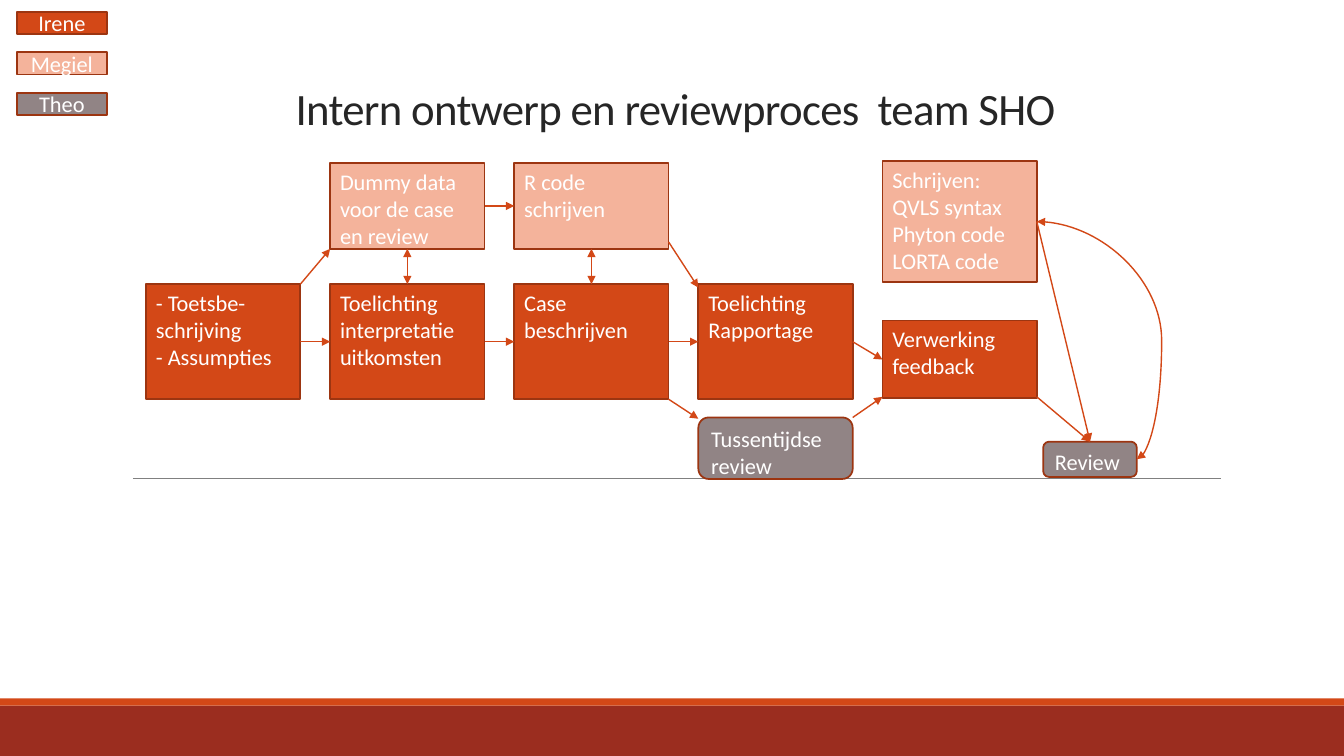
from lxml import etree
from pptx import Presentation, util as u
from pptx.dml.color import RGBColor
from pptx.enum import shapes, text
from pptx.oxml.ns import qn

THEME = {
    "font": "Calibri", "body_size": 16, "title_size": 32,
    "irene": "D34817", "megiel": "F4B39B", "theo": "918485",
    "border": "9C3511", "arrow": "D34817", "footer": "9B2D1F",
    "rule": "808080", "title": "262626", "body": "FFFFFF",
}
TITLE = "Intern ontwerp en reviewproces  team SHO"
LEGEND = [("Irene", "irene"), ("Megiel", "megiel"), ("Theo", "theo")]

COLUMN_LEFT, COLUMN_STEP, BOX_WIDTH = 3.68, 4.64, 3.89
TOP_ROW, MAIN_ROW = (4.11, 2.16), (7.16, 2.9)
STEPS = {
    "dummy": ("Dummy data voor de case en review", "megiel", 1, TOP_ROW),
    "interpretation": ("Toelichting interpretatie uitkomsten", "irene", 1, MAIN_ROW),
    "r_code": ("R code schrijven", "megiel", 2, TOP_ROW),
    "case": ("Case beschrijven", "irene", 2, MAIN_ROW),
    "report": ("Toelichting Rapportage", "irene", 3, MAIN_ROW),
    "interim": ("Tussentijdse\nreview", "theo", 3, (10.52, 1.55)),
    "code": ("Schrijven:\nQVLS syntax\nPhyton code\nLORTA code", "megiel", 4, (4.06, 3.05)),
    "feedback": ("Verwerking feedback", "irene", 4, (8.08, 1.96)),
    "tests": ("- Toetsbe-\nschrijving\n- Assumpties", "irene", 0, MAIN_ROW),
}
REVIEW = ("Review", "theo", (26.29, 11.13, 2.36, 0.89))

TOP, LEFT, BOTTOM, RIGHT = (0.5, 0), (0, 0.5), (0.5, 1), (1, 0.5)
SIDES = [TOP, LEFT, BOTTOM, RIGHT]
ARROWS = [
    ("dummy", BOTTOM, "interpretation", TOP, True),
    ("r_code", BOTTOM, "case", TOP, True),
    ("dummy", RIGHT, "r_code", LEFT, False),
    ("tests", RIGHT, "interpretation", LEFT, False),
    ("interpretation", RIGHT, "case", LEFT, False),
    ("case", RIGHT, "report", LEFT, False),
    ("report", RIGHT, "feedback", LEFT, False),
    ("tests", (1, 0), "dummy", (0, 1), False),
    ("r_code", (1, 0.92), "report", (0, 0.03), False),
    ("case", (1, 1), "interim", (0, 0.02), False),
    ("interim", (1, 0), "feedback", (0, 0.98), False),
    ("feedback", (1, 0.98), "review", TOP, False),
    ("code", RIGHT, "review", TOP, False),
]


def color(name):
    return RGBColor.from_string(THEME[name])


def write(frame, content, size, ink, alignment, anchor):
    frame.word_wrap = True
    frame.vertical_anchor = anchor
    for index, line in enumerate(content.split("\n")):
        paragraph = frame.paragraphs[0] if index == 0 else frame.add_paragraph()
        paragraph.alignment = alignment
        run = paragraph.add_run()
        run.text = line
        run.font.name = THEME["font"]
        run.font.size = u.Pt(THEME[size])
        run.font.color.rgb = color(ink)


def add_block(slide, bounds, fill, border=None, rounded=False):
    kind = shapes.MSO_SHAPE.ROUNDED_RECTANGLE if rounded else shapes.MSO_SHAPE.RECTANGLE
    shape = slide.shapes.add_shape(kind, *map(u.Cm, bounds))
    shape.shadow.inherit = False
    shape.fill.solid()
    shape.fill.fore_color.rgb = color(fill)
    if border:
        shape.line.color.rgb = color(border)
        shape.line.width = u.Pt(1.25)
    else:
        shape.line.fill.background()
    return shape


def add_step(slide, content, owner, bounds):
    shape = add_block(slide, bounds, owner, "border", owner == "theo")
    write(shape.text_frame, content, "body_size", "body",
          text.PP_ALIGN.LEFT, text.MSO_ANCHOR.TOP)
    return shape


def add_line(slide, start, end, ink, width, heads=(), kind=shapes.MSO_CONNECTOR.STRAIGHT):
    connector = slide.shapes.add_connector(kind, *start, *end)
    connector.line.color.rgb = color(ink)
    connector.line.width = u.Pt(width)
    outline = connector._element.spPr.find(qn("a:ln"))
    for head in heads:
        etree.SubElement(outline, qn(head), type="triangle")
    etree.SubElement(connector._element.spPr, qn("a:effectLst"))
    return connector


def add_arrow(slide, source, start_at, target, end_at, double,
              kind=shapes.MSO_CONNECTOR.STRAIGHT):
    start, end = [
        (int(box.left + box.width * across), int(box.top + box.height * down))
        for box, (across, down) in ((source, start_at), (target, end_at))
    ]
    heads = ("a:headEnd", "a:tailEnd") if double else ("a:tailEnd",)
    connector = add_line(slide, start, end, "arrow", 1, heads, kind)
    if start_at in SIDES:
        connector.begin_connect(source, SIDES.index(start_at))
    if end_at in SIDES:
        connector.end_connect(target, SIDES.index(end_at))
    return connector


def main():
    presentation = Presentation()
    presentation.slide_width, presentation.slide_height = u.Cm(33.87), u.Cm(19.05)
    slide = presentation.slides.add_slide(presentation.slide_layouts[6])

    add_block(slide, (0, 17.78, 33.87, 1.27), "footer")
    add_block(slide, (0, 17.6, 33.87, 0.18), "irene")
    add_line(slide, (u.Cm(3.35), u.Cm(12.06)), (u.Cm(30.78), u.Cm(12.06)), "rule", 0.5)

    title = slide.shapes.add_textbox(*map(u.Cm, (3.05, 2.11, 27.94, 0.99)))
    write(title.text_frame, TITLE, "title_size", "title",
          text.PP_ALIGN.CENTER, text.MSO_ANCHOR.TOP)
    heading = title.text_frame.paragraphs[0]
    heading.line_spacing = 0.85
    heading.runs[0].font._element.set("spc", "-50")

    for row, (person, owner) in enumerate(LEGEND):
        label = add_block(slide, (0.43, 0.3 + 1.02 * row, 2.26, 0.56), owner, "border")
        write(label.text_frame, person, "body_size", "body",
              text.PP_ALIGN.CENTER, text.MSO_ANCHOR.MIDDLE)

    boxes = {}
    for name, (content, owner, column, (top, height)) in STEPS.items():
        bounds = (COLUMN_LEFT + COLUMN_STEP * column, top, BOX_WIDTH, height)
        boxes[name] = add_step(slide, content, owner, bounds)
    boxes["review"] = add_step(slide, *REVIEW)

    for source, start_at, target, end_at, double in ARROWS:
        add_arrow(slide, boxes[source], start_at, boxes[target], end_at, double)

    loop = add_arrow(slide, boxes["review"], RIGHT, boxes["code"], RIGHT, True,
                     shapes.MSO_CONNECTOR.CURVE)
    adjustments = loop._element.spPr.find(qn("a:prstGeom")).get_or_add_avLst()
    etree.SubElement(adjustments, qn("a:gd"), name="adj1", fmla="val -24900")

    presentation.save("out.pptx")


if __name__ == "__main__":
    main()
